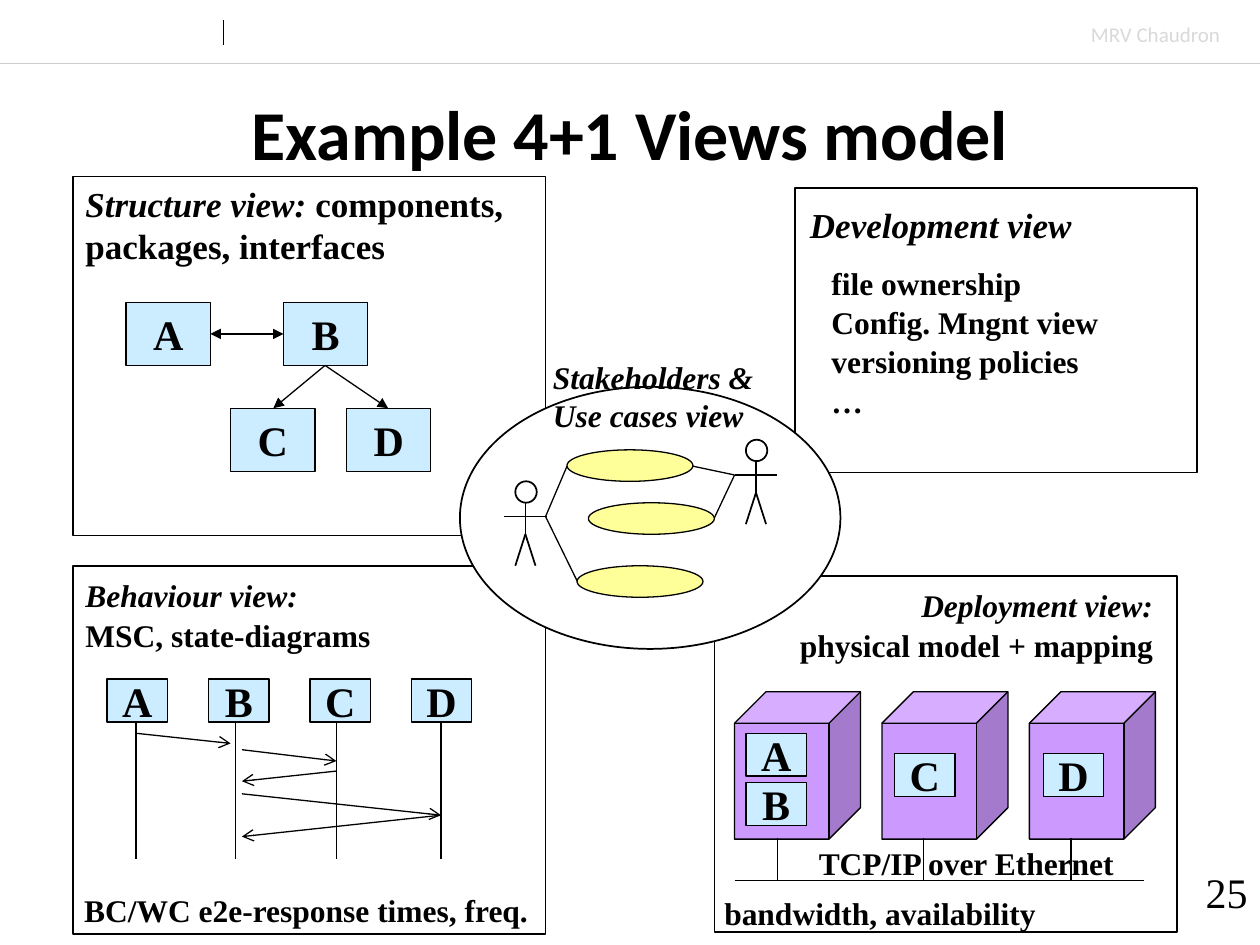
from dataclasses import dataclass

from lxml import etree
from pptx import Presentation
from pptx.dml.color import RGBColor
from pptx.enum.shapes import MSO_CONNECTOR, MSO_SHAPE
from pptx.enum.text import MSO_ANCHOR, PP_ALIGN
from pptx.oxml.ns import qn
from pptx.util import Inches, Pt

RECTANGLE, ELLIPSE, CUBE = MSO_SHAPE.RECTANGLE, MSO_SHAPE.OVAL, MSO_SHAPE.CUBE
STRAIGHT = MSO_CONNECTOR.STRAIGHT
TOP, MIDDLE = MSO_ANCHOR.TOP, MSO_ANCHOR.MIDDLE
LEFT, CENTER, RIGHT = PP_ALIGN.LEFT, PP_ALIGN.CENTER, PP_ALIGN.RIGHT
SERIF, SANS = "Times New Roman", "Calibri"
COLORS = {
    "black": "000000", "white": "FFFFFF", "rule": "CCCCCC", "author": "D9D9D9",
    "component": "CCECFF", "node": "CC99FF", "use case": "FFFF99",
}


@dataclass
class Box:
    left: float
    top: float
    width: float
    height: float

    def lengths(self) -> list:
        return [Inches(value) for value in (self.left, self.top, self.width, self.height)]


@dataclass
class Line:
    x1: float
    y1: float
    x2: float
    y2: float
    head: str = ""
    tail: str = ""


@dataclass
class Run:
    text: str
    italic: bool = False


@dataclass
class Label:
    box: Box
    paragraphs: list[list[Run]]
    size: float = 18
    align: PP_ALIGN = LEFT
    anchor: MSO_ANCHOR = TOP
    wrap: bool = True
    tight: bool = False
    bold: bool = True
    font: str = SERIF
    color: str = "black"


def rgb(name: str) -> RGBColor:
    return RGBColor.from_string(COLORS[name])


def style_font(font, name: str, size: float, bold: bool, color: str = "black") -> None:
    font.name, font.size, font.bold = name, Pt(size), bold
    font.color.rgb = rgb(color)


def draw_shape(shapes, kind: MSO_SHAPE, box: Box, fill: str = "", weight: float = 0.75):
    shape = shapes.add_shape(kind, *box.lengths())
    shape.shadow.inherit = False
    if fill:
        shape.fill.solid()
        shape.fill.fore_color.rgb = rgb(fill)
    else:
        shape.fill.background()
    shape.line.color.rgb = rgb("black")
    shape.line.width = Pt(weight)
    return shape


def draw_line(shapes, line: Line, weight: float = 0.75, color: str = "black") -> None:
    ends = [Inches(value) for value in (line.x1, line.y1, line.x2, line.y2)]
    connector = shapes.add_connector(STRAIGHT, *ends)
    connector.line.color.rgb = rgb(color)
    connector.line.width = Pt(weight)
    outline = connector.line._get_or_add_ln()
    for tag, arrow in (("a:headEnd", line.head), ("a:tailEnd", line.tail)):
        if arrow:
            etree.SubElement(outline, qn(tag), type=arrow)
    etree.SubElement(connector._element.spPr, qn("a:effectLst"))


def draw_component(shapes, name: str, box: Box) -> None:
    frame = draw_shape(shapes, RECTANGLE, box, "component").text_frame
    frame.word_wrap = False
    frame.vertical_anchor = MIDDLE
    paragraph = frame.paragraphs[0]
    paragraph.text = name
    paragraph.alignment = CENTER
    style_font(paragraph.font, SERIF, 24, True)


def draw_label(shapes, label: Label) -> None:
    frame = shapes.add_textbox(*label.box.lengths()).text_frame
    frame.word_wrap = label.wrap
    frame.vertical_anchor = label.anchor
    for index, runs in enumerate(label.paragraphs):
        paragraph = frame.add_paragraph() if index else frame.paragraphs[0]
        paragraph.alignment = label.align
        if label.tight:
            paragraph.line_spacing = 0.6
            paragraph.space_before = Pt(9.5 if index else 0)
        style_font(paragraph.font, label.font, label.size, label.bold, label.color)
        for item in runs:
            run = paragraph.add_run()
            run.text = item.text
            run.font.italic = item.italic


def draw_actor(shapes, x: float, top: float) -> None:
    group = shapes.add_group_shape().shapes
    hip = top + 0.42
    draw_shape(group, ELLIPSE, Box(x - 0.08, top, 0.17, 0.17), weight=1)
    draw_line(group, Line(x, top + 0.17, x, hip), 1)
    draw_line(group, Line(x - 0.17, top + 0.28, x + 0.17, top + 0.28), 1)
    for side in (-0.08, 0.08):
        draw_line(group, Line(x + side, top + 0.67, x, hip), 1)


def draw_structure(shapes) -> None:
    group = shapes.add_group_shape().shapes
    for name, left, top in (("A", 1, 2.4), ("B", 2.25, 2.4), ("C", 1.83, 3.24), ("D", 2.75, 3.24)):
        draw_component(group, name, Box(left, top, 0.67, 0.5))
    draw_line(group, Line(1.67, 2.65, 2.25, 2.65, "triangle", "triangle"))
    for x in (2.17, 3.08):
        draw_line(group, Line(2.58, 2.9, x, 3.24, tail="triangle"))


def draw_behaviour(shapes) -> None:
    for index, (name, lifeline) in enumerate(zip("ABCD", (1.08, 1.87, 2.67, 3.5))):
        draw_component(shapes, name, Box(0.85 + index * 0.805, 5.39, 0.48, 0.34))
        draw_line(shapes, Line(lifeline, 5.74, lifeline, 6.82))
    for message in ((1.08, 5.82, 1.83, 5.9), (1.92, 5.95, 2.67, 6.04), (2.67, 6.12, 1.92, 6.2),
                    (1.92, 6.3, 3.5, 6.47), (3.5, 6.47, 1.92, 6.64)):
        draw_line(shapes, Line(*message, tail="arrow"))


def draw_deployment(shapes) -> None:
    for index in range(3):
        draw_shape(shapes, CUBE, Box(5.83 + index * 1.17, 5.49, 1, 1.17), "node")
    for name, left, top in (("A", 5.92, 5.82), ("B", 5.92, 6.21), ("C", 7.1, 5.98), ("D", 8.28, 5.98)):
        draw_component(shapes, name, Box(left, top, 0.48, 0.34))
    network = shapes.add_group_shape().shapes
    draw_line(network, Line(5.83, 6.99, 9.08, 6.99))
    for x in (6.17, 7.33, 8.5):
        draw_line(network, Line(x, 6.65, x, 6.99))


def draw_use_cases(shapes) -> None:
    for x, top in ((4.17, 3.82), (6, 3.49)):
        draw_actor(shapes, x, top)
    for left, top in ((4.5, 3.57), (4.67, 3.99), (4.58, 4.49)):
        draw_shape(shapes, ELLIPSE, Box(left, top, 1, 0.25), "use case")
    for link in ((4.33, 4.1, 4.5, 3.7), (5.83, 3.77, 5.5, 3.7),
                 (4.33, 4.1, 4.58, 4.61), (5.83, 3.77, 5.67, 4.11)):
        draw_line(shapes, Line(*link))


LABELS = [
    Label(Box(8.56, 0.12, 1.23, 0.3), [[Run("MRV Chaudron")]], 12, wrap=False,
          bold=False, font=SANS, color="author"),
    Label(Box(7.92, 6.83, 2.08, 0.5), [[Run("25")]], 24, RIGHT, MIDDLE, bold=False),
    Label(Box(0.58, 1.4, 3.67, 0.77),
          [[Run("Structure view: ", True), Run("components, packages, interfaces")]], 20, anchor=MIDDLE),
    Label(Box(0.58, 4.63, 3.58, 0.61),
          [[Run("Behaviour view:", True)], [Run("MSC, state-diagrams")]], tight=True),
    Label(Box(5.75, 4.71, 3.5, 0.61),
          [[Run("Deployment view:", True)], [Run("physical model + mapping")]], align=RIGHT, tight=True),
    Label(Box(4.29, 2.79, 1.79, 0.7),
          [[Run("Stakeholders &", True)], [Run("Use cases view", True)]], wrap=False),
    Label(Box(0.57, 7.02, 3.74, 0.4), [[Run("BC/WC e2e-response times, freq.")]], wrap=False),
    Label(Box(5.65, 7.05, 2.67, 0.4), [[Run("bandwidth, availability")]], wrap=False),
    Label(Box(6.4, 6.65, 2.56, 0.4), [[Run("TCP/IP over Ethernet")]], wrap=False),
    Label(Box(6.5, 2.15, 2.58, 1.28),
          [[Run(text)] for text in ("file ownership", "Config. Mngnt view", "versioning policies", "…")],
          tight=True),
    Label(Box(6.33, 1.57, 3, 0.43), [[Run("Development view", True)]], 20, anchor=MIDDLE),
]
VIEWS = [Box(0.58, 4.49, 3.75, 2.92), Box(5.67, 4.57, 3.67, 2.83),
         Box(6.31, 1.49, 3.19, 2.26), Box(0.58, 1.4, 3.75, 2.85)]


def main() -> None:
    presentation = Presentation()
    presentation.slide_width, presentation.slide_height = Inches(10), Inches(7.5)
    slide = presentation.slides.add_slide(presentation.slide_layouts[5])
    shapes = slide.shapes
    title = shapes.title
    title.left, title.top, title.width, title.height = Box(0, 0.49, 10, 1.12).lengths()
    title.text_frame.text = "Example 4+1 Views model"
    title.text_frame.vertical_anchor = MIDDLE
    heading = title.text_frame.paragraphs[0]
    heading.alignment = CENTER
    style_font(heading.font, SANS, 40, True)
    draw_line(shapes, Line(0, 0.5, 10, 0.5), 0.25, "rule")
    draw_line(shapes, Line(1.77, 0.16, 1.77, 0.36), 0.5)
    for view in VIEWS:
        draw_shape(shapes, RECTANGLE, view, "white", 1)
    draw_shape(shapes, ELLIPSE, Box(3.65, 3.07, 3.02, 2.08), "white", 1)
    for draw_view in (draw_structure, draw_behaviour, draw_deployment, draw_use_cases):
        draw_view(shapes)
    for label in LABELS:
        draw_label(shapes, label)
    presentation.save("out.pptx")


if __name__ == "__main__":
    main()
